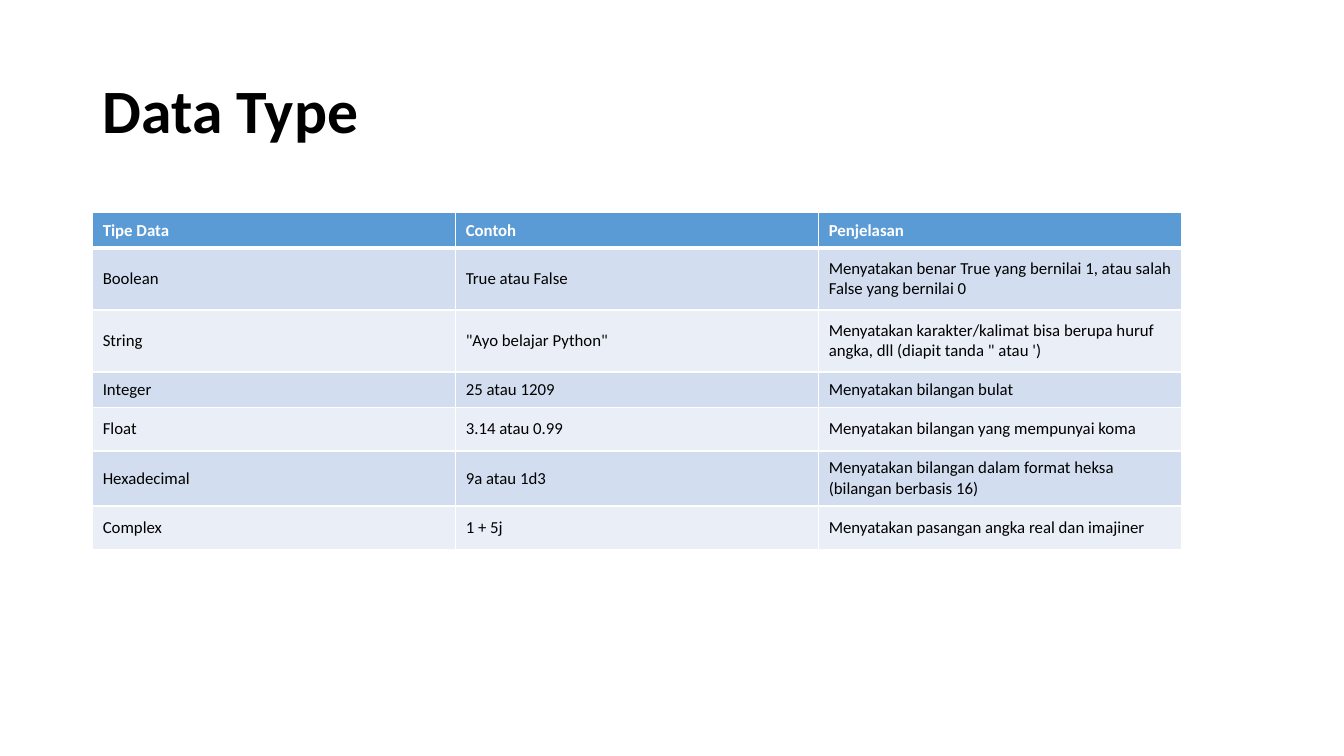
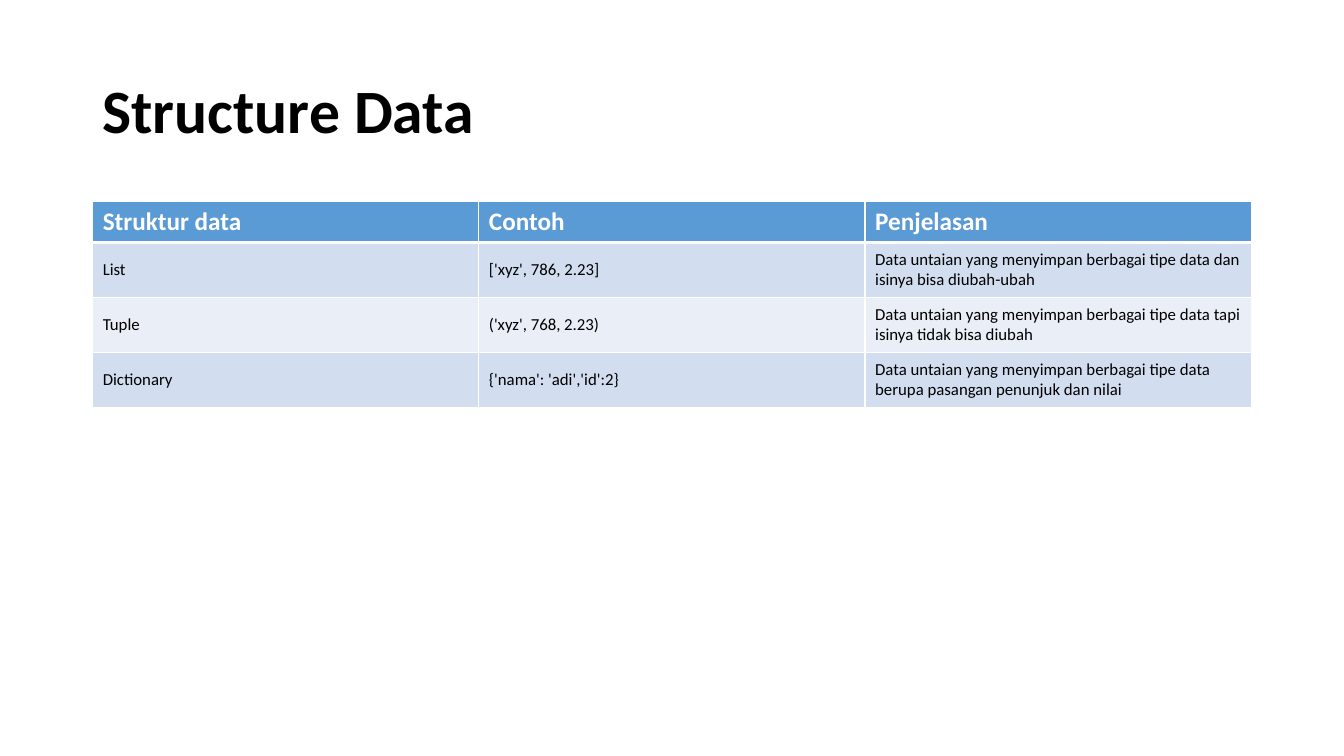
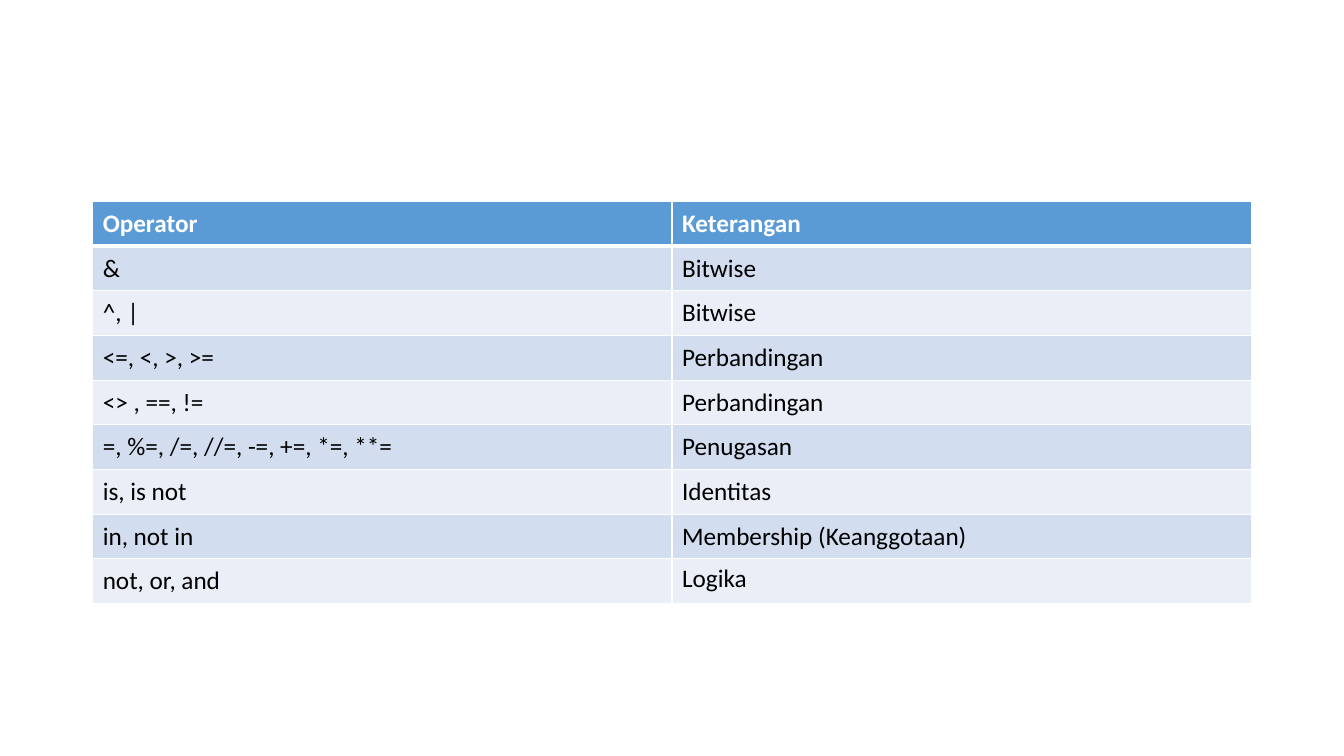
from dataclasses import dataclass

import pptx
import pptx.dml.color
import pptx.enum.text
import pptx.oxml
import pptx.oxml.ns
import pptx.presentation
import pptx.slide
import pptx.table
import pptx.text.text
import pptx.util

SLIDE_WIDTH = pptx.util.Inches(13.33)
SLIDE_HEIGHT = pptx.util.Inches(7.5)
GRID_COLUMNS, GRID_ROWS = 29, 75
LEFT_COLUMN, CONTENT_COLUMNS = 2, 25

FONT = "Calibri"
BLACK, WHITE = "000000", "FFFFFF"
HEADER_FILL = "5B9BD5"
BAND_FILLS = ("D2DEEF", "EAEFF7")
THIN, THICK = 1, 3


@dataclass(frozen=True)
class TableSlide:
    """A slide with one table; places and sizes are in grid columns and rows."""
    title: str
    cells: tuple[tuple[str, ...], ...]
    row_heights: tuple[float, ...]
    header_size: int
    body_size: int
    top: float = 20
    width: float = CONTENT_COLUMNS
    top_anchored: tuple[tuple[int, int], ...] = ()


TABLE_SLIDES = (
    TableSlide(
        title="Data Type",
        cells=(
            ("Tipe Data", "Contoh", "Penjelasan"),
            ("Boolean", "True atau False",
             "Menyatakan benar True yang bernilai 1, atau salah False yang bernilai 0"),
            ("String", '"Ayo belajar Python"',
             "Menyatakan karakter/kalimat bisa berupa huruf angka, dll "
             "(diapit tanda \" atau ')"),
            ("Integer", "25 atau 1209", "Menyatakan bilangan bulat"),
            ("Float", "3.14 atau 0.99", "Menyatakan bilangan yang mempunyai koma"),
            ("Hexadecimal", "9a atau 1d3",
             "Menyatakan bilangan dalam format heksa (bilangan berbasis 16)"),
            ("Complex", "1 + 5j", "Menyatakan pasangan angka real dan imajiner"),
        ),
        row_heights=(3.5, 6.15, 6.15, 3.5, 4.35, 5.45, 4.35),
        header_size=12,
        body_size=12,
        top=21.1,
        width=23.5,
    ),
    TableSlide(
        title="Structure Data",
        cells=(
            ("Struktur data", "Contoh", "Penjelasan"),
            ("List", "['xyz', 786, 2.23]",
             "Data untaian yang menyimpan berbagai tipe data dan isinya bisa diubah-ubah"),
            ("Tuple", "('xyz', 768, 2.23)",
             "Data untaian yang menyimpan berbagai tipe data tapi isinya tidak bisa diubah"),
            ("Dictionary", "{'nama': 'adi','id':2}",
             "Data untaian yang menyimpan berbagai tipe data berupa pasangan "
             "penunjuk dan nilai"),
        ),
        row_heights=(4.05,) + (5.45,) * 3,
        header_size=18,
        body_size=12,
        top_anchored=((0, 0), (0, 1), (0, 2)),
    ),
    TableSlide(
        title="",
        cells=(
            ("Operator", "Keterangan"),
            ("&", "Bitwise"),
            ("^, |", "Bitwise"),
            ("<=, <, >, >=", "Perbandingan"),
            ("<> , ==, !=", "Perbandingan"),
            ("=, %=, /=, //=, -=, +=, *=, **=", "Penugasan"),
            ("is, is not", "Identitas"),
            ("in, not in", "Membership (Keanggotaan)"),
            ("not, or, and", "Logika"),
        ),
        row_heights=(4.43,) * 9,
        header_size=18,
        body_size=18,
        top_anchored=((8, 1),),
    ),
)


def across(columns: float) -> int:
    return round(SLIDE_WIDTH * columns / GRID_COLUMNS)


def down(rows: float) -> int:
    return round(SLIDE_HEIGHT * rows / GRID_ROWS)


def color(hex_value: str) -> pptx.dml.color.RGBColor:
    return pptx.dml.color.RGBColor.from_string(hex_value)


def add_run(paragraph: pptx.text.text._Paragraph, text: str, size: int,
            hex_value: str, bold: bool) -> None:
    run = paragraph.add_run()
    run.text = text
    run.font.name = FONT
    run.font.size = pptx.util.Pt(size)
    run.font.bold = bold
    run.font.color.rgb = color(hex_value)


def add_title(slide: pptx.slide.Slide, title: str) -> None:
    shape = slide.shapes.add_textbox(
        across(LEFT_COLUMN), down(4), across(CONTENT_COLUMNS), down(14.5))
    frame = shape.text_frame
    frame.word_wrap = True
    frame.vertical_anchor = pptx.enum.text.MSO_ANCHOR.MIDDLE
    paragraph = frame.paragraphs[0]
    paragraph.line_spacing = 0.9
    add_run(paragraph, title, 44, BLACK, True)


def add_borders(cell: pptx.table._Cell, top: int, bottom: int) -> None:
    """Add white borders; call before the fill, which must follow them in the XML."""
    properties = cell._tc.get_or_add_tcPr()
    namespace = pptx.oxml.ns.nsdecls("a")
    for side, width in (("L", THIN), ("R", THIN), ("T", top), ("B", bottom)):
        properties.append(pptx.oxml.parse_xml(
            f'<a:ln{side} {namespace} w="{pptx.util.Pt(width)}"><a:solidFill>'
            f'<a:srgbClr val="{WHITE}"/></a:solidFill></a:ln{side}>'))


def fill_cell(cell: pptx.table._Cell, text: str, row: int, size: int,
              top_anchored: bool) -> None:
    is_header = row == 0
    add_borders(cell, THICK if row == 1 else THIN, THICK if is_header else THIN)
    cell.fill.solid()
    cell.fill.fore_color.rgb = color(
        HEADER_FILL if is_header else BAND_FILLS[(row - 1) % len(BAND_FILLS)])
    if not top_anchored:
        cell.vertical_anchor = pptx.enum.text.MSO_ANCHOR.MIDDLE
        cell.margin_top = cell.margin_bottom = pptx.util.Inches(0.07)
    add_run(cell.text_frame.paragraphs[0], text, size,
            WHITE if is_header else BLACK, is_header)


def add_data_table(slide: pptx.slide.Slide, content: TableSlide) -> None:
    column_count = len(content.cells[0])
    table = slide.shapes.add_table(
        len(content.cells), column_count, across(LEFT_COLUMN), down(content.top),
        across(content.width), down(sum(content.row_heights))).table
    for column in table.columns:
        column.width = across(content.width / column_count)
    for row, (height, texts) in enumerate(zip(content.row_heights, content.cells)):
        table.rows[row].height = down(height)
        size = content.body_size if row else content.header_size
        for column, text in enumerate(texts):
            fill_cell(table.cell(row, column), text, row, size,
                      (row, column) in content.top_anchored)


def add_table_slide(presentation: pptx.presentation.Presentation,
                    content: TableSlide) -> None:
    slide = presentation.slides.add_slide(presentation.slide_layouts[6])
    if content.title:
        add_title(slide, content.title)
    add_data_table(slide, content)


def main() -> None:
    presentation = pptx.Presentation()
    presentation.slide_width = SLIDE_WIDTH
    presentation.slide_height = SLIDE_HEIGHT
    for content in TABLE_SLIDES:
        add_table_slide(presentation, content)
    presentation.save("out.pptx")


if __name__ == "__main__":
    main()
